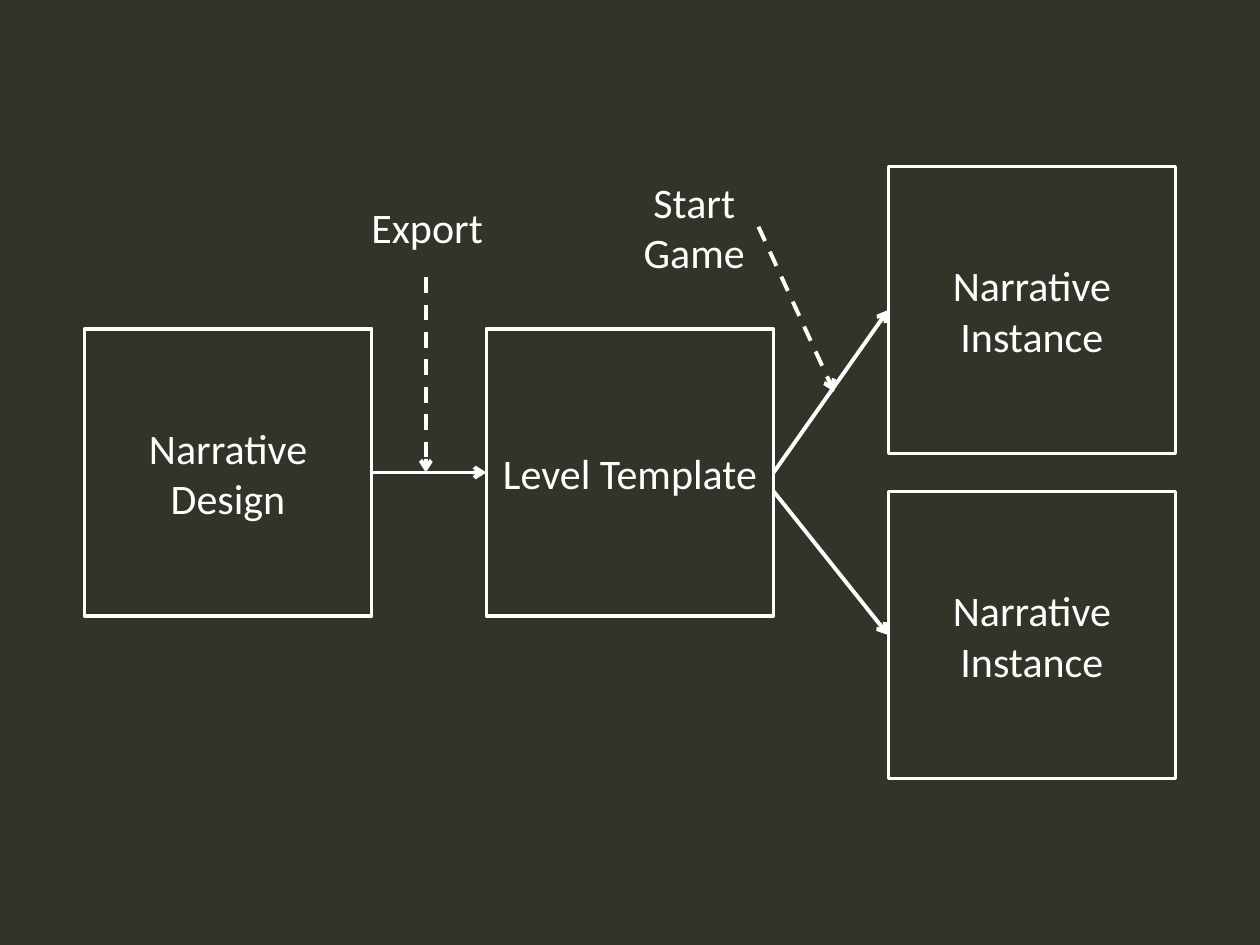
"""Build a slide showing how a narrative design becomes game instances."""
from dataclasses import dataclass

from lxml import etree
from pptx import Presentation
from pptx.dml.color import RGBColor
from pptx.enum.dml import MSO_LINE
from pptx.enum.shapes import MSO_CONNECTOR, MSO_SHAPE
from pptx.enum.text import MSO_ANCHOR, PP_ALIGN
from pptx.oxml.ns import qn
from pptx.util import Inches, Pt

RECT = MSO_SHAPE.RECTANGLE
STRAIGHT = MSO_CONNECTOR.STRAIGHT
DASH = MSO_LINE.DASH
MIDDLE = MSO_ANCHOR.MIDDLE
CENTER = PP_ALIGN.CENTER


@dataclass(frozen=True)
class Theme:
    """Colours, type and line widths of the slide."""
    background: RGBColor = RGBColor(0x33, 0x33, 0x29)
    ink: RGBColor = RGBColor(0xFF, 0xFF, 0xFF)
    font: str = "Calibri"
    size: Pt = Pt(24)
    box_line: Pt = Pt(2)
    arrow_line: Pt = Pt(2.25)


THEME = Theme()
BOX = 2.28
COLUMNS = [0.67 + i * 3.19 for i in range(3)]
MID_TOP, UPPER_TOP, LOWER_TOP = 2.61, 1.32, 3.9
MID_Y = MID_TOP + BOX / 2
LABEL_TOP, LABEL_HEIGHT = 1.4, 0.8


def set_text(sp, text):
    """Fill a shape with centred text, one paragraph per line."""
    tf = sp.text_frame
    tf.word_wrap = True
    tf.vertical_anchor = MIDDLE
    tf.text = text
    for p in tf.paragraphs:
        p.alignment = CENTER
        p.font.name = THEME.font
        p.font.size = THEME.size
        p.font.color.rgb = THEME.ink


def add_box(s, left, top, text):
    """Add an outlined square with text."""
    sp = s.shapes.add_shape(RECT, Inches(left), Inches(top), Inches(BOX), Inches(BOX))
    sp.shadow.inherit = False
    sp.fill.background()
    sp.line.color.rgb = THEME.ink
    sp.line.width = THEME.box_line
    set_text(sp, text)


def add_label(s, left, width, text):
    """Add a text label in the row above the arrows."""
    sp = s.shapes.add_textbox(Inches(left), Inches(LABEL_TOP),
                              Inches(width), Inches(LABEL_HEIGHT))
    set_text(sp, text)


def add_arrow(s, start, end, dashed=False):
    """Add a straight arrow between two points."""
    points = [Inches(v) for v in (*start, *end)]
    sp = s.shapes.add_connector(STRAIGHT, *points)
    sp.line.color.rgb = THEME.ink
    sp.line.width = THEME.arrow_line
    if dashed:
        sp.line.dash_style = DASH
    sp_pr = sp._element.spPr
    etree.SubElement(sp_pr.find(qn("a:ln")), qn("a:tailEnd"), type="arrow")
    etree.SubElement(sp_pr, qn("a:effectLst"))


def main():
    """Create the slide and save it."""
    prs = Presentation()
    prs.slide_width, prs.slide_height = Inches(10), Inches(7.5)
    s = prs.slides.add_slide(prs.slide_layouts[6])
    s.background.fill.solid()
    s.background.fill.fore_color.rgb = THEME.background

    design, template, instance = COLUMNS
    add_box(s, template, MID_TOP, "Level Template")
    add_box(s, design, MID_TOP, "Narrative\nDesign")
    for top in (LOWER_TOP, UPPER_TOP):
        add_box(s, instance, top, "Narrative Instance")

    add_arrow(s, (design + BOX, MID_Y), (template, MID_Y))
    add_arrow(s, (template + BOX, MID_Y), (instance, UPPER_TOP + BOX / 2))
    add_arrow(s, (template + BOX, 3.9), (instance, LOWER_TOP + BOX / 2))

    add_label(s, 2.74, 1.3, "Export")
    add_arrow(s, (3.38, LABEL_TOP + LABEL_HEIGHT), (3.38, MID_Y), dashed=True)
    add_arrow(s, (6.02, LABEL_TOP + LABEL_HEIGHT / 2), (6.62, 3.11), dashed=True)
    add_label(s, 5, 1.02, "Start Game")

    prs.save("out.pptx")


if __name__ == "__main__":
    main()
